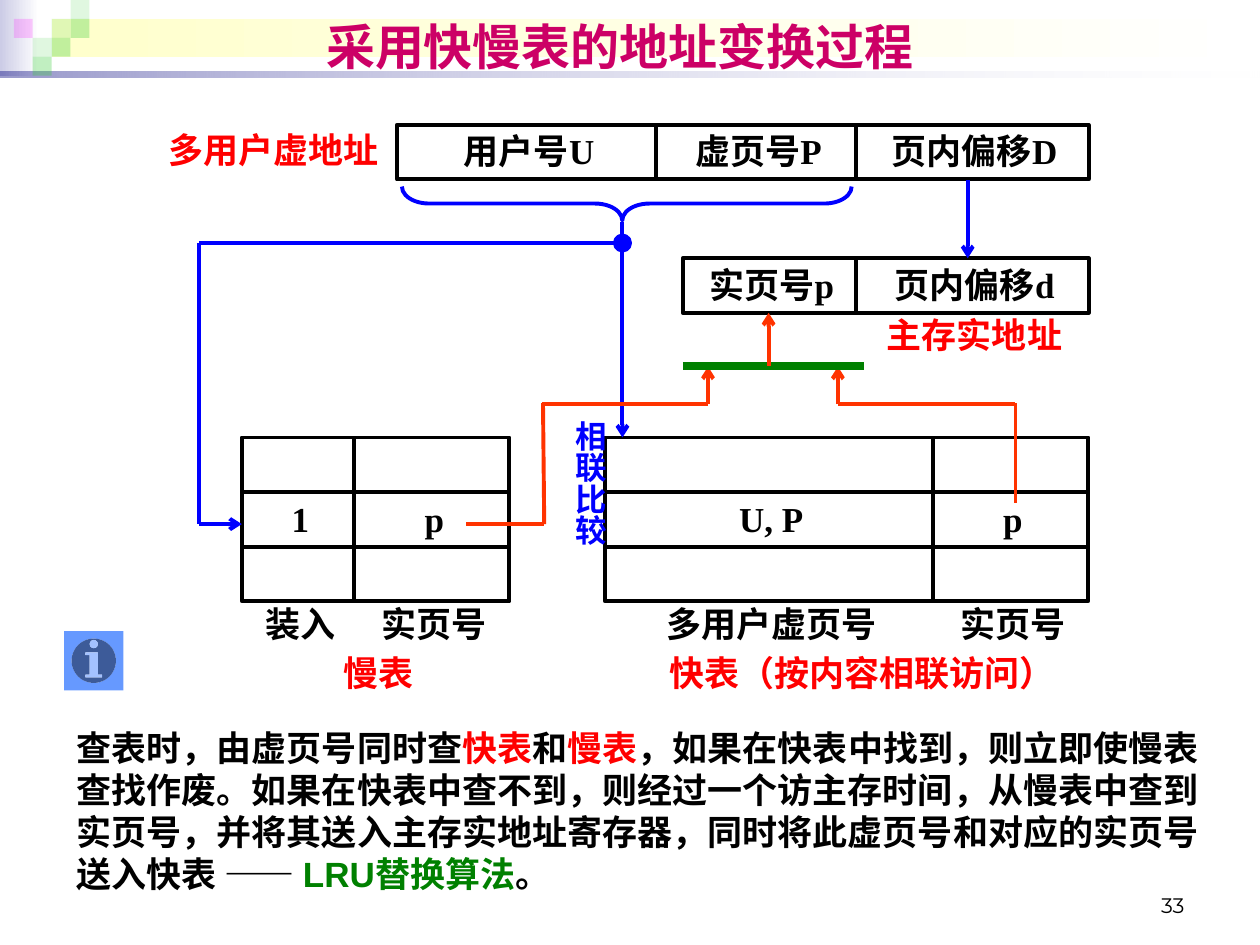
from lxml import etree
from pptx import Presentation
from pptx.dml.color import RGBColor
from pptx.enum.shapes import MSO_CONNECTOR, MSO_SHAPE as SHAPE
from pptx.enum.text import MSO_ANCHOR as ANCHOR, PP_ALIGN as ALIGN
from pptx.oxml.ns import qn
from pptx.util import Pt

rgb = RGBColor.from_string
BLACK, RED, BLUE, ORANGE, GREEN = "000000", "FF0000", "0000FF", "FF3300", "008000"


def write(box, *runs, font="Times New Roman", size=20, color=BLACK, bold=True,
          align=ALIGN.CENTER, anchor=ANCHOR.MIDDLE, wrap=False, spacing=0.8,
          insets=(5.76, 2.88, 2.88, 0)):
    """Fill a shape with one paragraph; a run is a text or a (text, colour) pair."""
    tf = box.text_frame
    tf.word_wrap, tf.vertical_anchor = wrap, anchor
    tf.margin_left, tf.margin_top, tf.margin_right, tf.margin_bottom = map(Pt, insets)
    p = tf.paragraphs[0]
    p.alignment, p.line_spacing = align, spacing
    for run in runs:
        text, run_color = (run, color) if isinstance(run, str) else run
        r = p.add_run()
        r.text = text
        r.font.name, r.font.size, r.font.bold = font, Pt(size), bold
        r.font.color.rgb = rgb(run_color)


def add_shape(kind, x, y, w, h, fill=None, line=None):
    sp = s.shapes.add_shape(kind, Pt(x), Pt(y), Pt(w), Pt(h))
    sp.shadow.inherit = False
    if fill:
        sp.fill.solid()
        sp.fill.fore_color.rgb = rgb(fill)
    else:
        sp.fill.background()
    if line:
        sp.line.color.rgb = rgb(line)
        sp.line.width = Pt(2.25)
    else:
        sp.line.fill.background()
    return sp


prs = Presentation()
prs.slide_width, prs.slide_height = Pt(720), Pt(540)
s = prs.slides.add_slide(prs.slide_layouts[6])
plain = dict(font="Arial", anchor=ANCHOR.TOP, wrap=True, spacing=1, insets=(7.2, 3.6, 7.2, 3.6))

# Header bands: place, then start and end colour with opacity
bands = [
    (0, 0, 22.3, 43.2, ("CCCCE6", 100), ("FFFFFF", 100)),
    (29.5, 10.8, 687.6, 21.6, ("FFFFCC", 100), ("FFFFFF", 100)),
    (0, 41, 720, 3.6, ("00007D", 40), ("FFFFFF", 10)),
]
for x, y, w, h, *ends in bands:
    band = add_shape(SHAPE.RECTANGLE, x, y, w, h)
    band.fill.gradient()
    band.fill.gradient_angle = 0
    for stop, (color, _) in zip(band.fill.gradient_stops, ends):
        stop.color.rgb = rgb(color)
    for clr, (_, opacity) in zip(band.element.spPr.iter(qn("a:srgbClr")), ends):
        if opacity < 100:
            etree.SubElement(clr, qn("a:alpha"), val=str(opacity * 1000))

# Header mosaic: column, row, colour, opacity
TILE = 10.8
mosaic = [(2, 1, "33CC33", 15), (3, 0, "33CC33", 15), (3, 1, "33CC33", 30),
          (1, 2, "33CC33", 15), (0, 1, "FF00FF", 20), (2, 2, "33CC33", 30),
          (1, 3, "33CC33", 30)]
for col, row, color, opacity in mosaic:
    tile = add_shape(SHAPE.RECTANGLE, 7.9 + col * TILE, row * TILE, TILE, TILE, fill=color)
    clr = next(tile.element.spPr.iter(qn("a:srgbClr")))
    etree.SubElement(clr, qn("a:alpha"), val=str(opacity * 1000))

# Title, explanation and page number
box = s.shapes.add_textbox(Pt(172), Pt(5.8), Pt(364.3), Pt(41))
write(box, "采用快慢表的地址变换过程", size=28, color="CC0066", **plain)
box = s.shapes.add_textbox(Pt(36.7), Pt(411.8), Pt(657.4), Pt(103))
write(box, "查表时，由虚页号同时查", ("快表", RED), "和", ("慢表", RED),
      "，如果在快表中找到，则立即使慢表查找作废。如果在快表中查不到，则经过一个访主存时间，"
      "从慢表中查到实页号，并将其送入主存实地址寄存器，同时将此虚页号和对应的实页号送入快表 —— ",
      ("LRU替换算法", GREEN), "。", align=ALIGN.LEFT, **plain)
box = s.shapes.add_textbox(Pt(516.2), Pt(491.8), Pt(167.8), Pt(36))
write(box, "33", **{**plain, "font": "Montserrat", "anchor": ANCHOR.BOTTOM},
      size=12, bold=False, align=ALIGN.RIGHT)

# Address registers: top, then left, width and text of each field
ROW = 31.2
registers = [
    (71.3, [(226.8, 148.3, "用户号U"), (375.1, 113.8, "虚页号P"), (488.9, 133.2, "页内偏移D")]),
    (147.6, [(390.2, 98.7, "实页号p"), (488.9, 133.2, "页内偏移d")]),
]
for y, fields in registers:
    for x, w, text in fields:
        write(add_shape(SHAPE.RECTANGLE, x, y, w, ROW, line=BLACK), text)

# Slow and fast tables: left, width, middle cell and caption of each column
columns = [(138.2, 64.1, "1", "装入"), (202.3, 88.8, "p", "实页号"),
           (345.6, 187.4, "U, P", "多用户虚页号"), (533, 88.8, "p", "实页号")]
for x, w, value, caption in columns:
    for row in range(3):
        cell = add_shape(SHAPE.RECTANGLE, x, 250 + row * ROW, w, ROW, line=BLACK)
        if row == 1:
            write(cell, value)
    write(s.shapes.add_textbox(Pt(x), Pt(341.3), Pt(w), Pt(ROW)), caption)

# Red labels
labels = [(87.8, 71.3, 133.9, 29.5, "多用户虚地址"), (483.8, 178.6, 143.3, 26.6, "主存实地址"),
          (177.8, 369.4, 74.2, ROW, "慢表"), (340.6, 369.4, 301, ROW, "快表（按内容相联访问）")]
for x, y, w, h, text in labels:
    write(s.shapes.add_textbox(Pt(x), Pt(y), Pt(w), Pt(h)), text, color=RED)

# Lines and arrows: start, end, colour, width, arrowhead
links = [
    (355.7, 126.7, 355.7, 250, BLUE, 2.25, True),
    (113.8, 139, 355.7, 139, BLUE, 2.25, False),
    (113.8, 139, 113.8, 299.5, BLUE, 2.25, False),
    (113.8, 299.5, 138.2, 299.5, BLUE, 2.25, True),
    (553, 103, 553, 147.6, BLUE, 2.25, True),
    (266.4, 299.5, 311, 299.5, ORANGE, 2.25, False),
    (310.3, 230.4, 311, 299.5, ORANGE, 2.25, False),
    (309.6, 231, 404.6, 231, ORANGE, 2.25, False),
    (404.6, 231, 404.6, 209.5, ORANGE, 2.25, True),
    (580.3, 287.3, 580.3, 230.4, ORANGE, 2.25, False),
    (580.3, 231, 478.8, 231, ORANGE, 2.25, False),
    (478.8, 231, 478.8, 209.5, ORANGE, 2.25, True),
    (390.2, 209, 493.9, 209, GREEN, 4.5, False),
    (439.2, 209, 439.2, 178.8, ORANGE, 2.25, True),
]
for x1, y1, x2, y2, color, width, arrow in links:
    link = s.shapes.add_connector(MSO_CONNECTOR.STRAIGHT, Pt(x1), Pt(y1), Pt(x2), Pt(y2))
    link.line.color.rgb = rgb(color)
    link.line.width = Pt(width)
    if arrow:
        etree.SubElement(link.line._get_or_add_ln(), qn("a:tailEnd"), type="arrow")
    etree.SubElement(link.element.spPr, qn("a:effectLst"))

# Brace under user and page number, with its junction
brace = add_shape(SHAPE.LEFT_BRACE, 348.5, -12.2, 19.4, 257, line=BLUE)
brace.rotation = 270
brace.adjustments[0], brace.adjustments[1] = 0.8, 0.49
add_shape(SHAPE.OVAL, 351.4, 134.6, 8.6, 8.6, fill=BLUE, line=BLUE)

# Vertical label of the associative comparison
box = s.shapes.add_textbox(Pt(315.4), Pt(233.3), Pt(36), Pt(102.2))
write(box, "相联比较", size=18, color=BLUE, **plain)
box.element.txBody.bodyPr.set("vert", "eaVert")

# Information button
add_shape(SHAPE.ACTION_BUTTON_INFORMATION, 36.7, 360.7, 33.8, 33.8, fill="6699FF")

prs.save("out.pptx")
